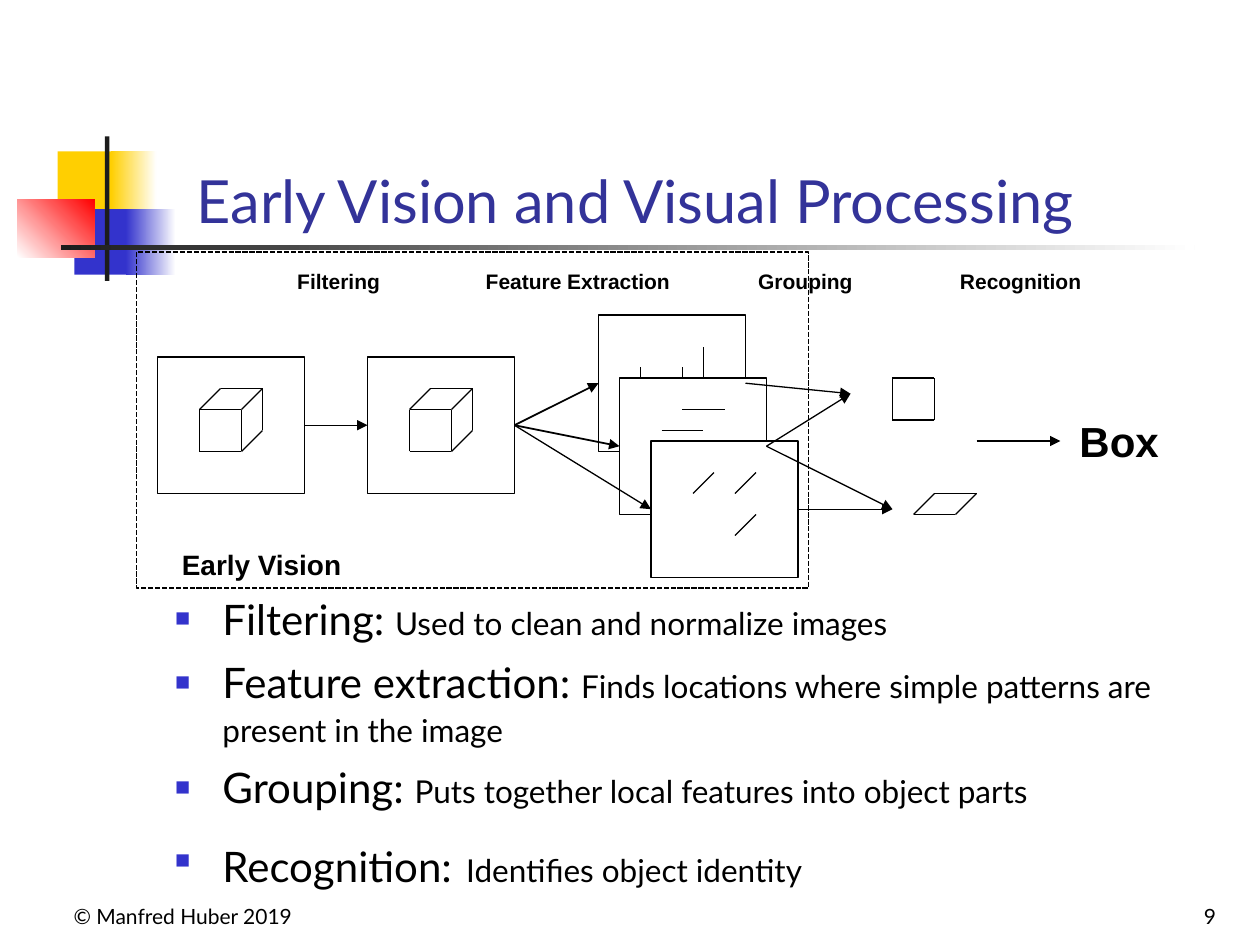
from lxml.etree import SubElement
from pptx import Presentation
from pptx.dml.color import RGBColor
from pptx.enum.dml import MSO_LINE
from pptx.enum.shapes import MSO_CONNECTOR, MSO_SHAPE
from pptx.enum.text import MSO_ANCHOR, PP_ALIGN
from pptx.oxml.ns import qn
from pptx.util import Pt

BLACK = RGBColor(0, 0, 0)
WHITE = RGBColor(255, 255, 255)
GOLD = RGBColor(0xFF, 0xCF, 0x01)
BLUE = RGBColor(0x33, 0x33, 0xCC)
RED = RGBColor(255, 0, 0)
DARK = RGBColor(0x1C, 0x1C, 0x1C)
NAVY = RGBColor(0x33, 0x33, 0x99)

deck = Presentation()
deck.slide_width, deck.slide_height = Pt(720), Pt(540)
slide = deck.slides.add_slide(deck.slide_layouts[6])
shapes = slide.shapes


def add_line(x1, y1, x2, y2, tip=False, width=0.75):
    line = shapes.add_connector(MSO_CONNECTOR.STRAIGHT, Pt(x1), Pt(y1), Pt(x2), Pt(y2))
    line.line.color.rgb = BLACK
    line.line.width = Pt(width)
    props = line.element.spPr
    if tip:
        SubElement(props.find(qn("a:ln")), qn("a:tailEnd"), type="triangle")
    SubElement(props, qn("a:effectLst"))


def add_text(text, x, y, w, h, size, face="Arial", color=BLACK, bold=False,
             align=PP_ALIGN.CENTER, anchor=MSO_ANCHOR.TOP, wrap=False):
    frame = shapes.add_textbox(Pt(x), Pt(y), Pt(w), Pt(h)).text_frame
    frame.word_wrap = wrap
    frame.vertical_anchor = anchor
    para = frame.paragraphs[0]
    para.text = text
    para.alignment = align
    font = para.font
    font.name, font.size, font.bold = face, Pt(size), bold
    font.color.rgb = color


for x, y, w, h, first, last, angle in [
    (33, 86.5, 34.5, 37.5, GOLD, None, 0),
    (63.5, 86.5, 26, 37.5, GOLD, WHITE, 0),
    (42.5, 119.5, 33, 37.5, BLUE, None, 0),
    (72, 119.5, 28.5, 37.5, BLUE, WHITE, 0),
    (10, 113.75, 44, 33.25, WHITE, RED, 45),
    (60, 78, 2.5, 82.5, DARK, None, 0),
    (34.75, 140.25, 648, 2.5, DARK, WHITE, 0),
]:
    block = shapes.add_shape(MSO_SHAPE.RECTANGLE, Pt(x), Pt(y), Pt(w), Pt(h))
    block.shadow.inherit = False
    block.line.fill.background()
    if last is None:
        block.fill.solid()
        block.fill.fore_color.rgb = first
    else:
        block.fill.gradient()
        block.fill.gradient_angle = angle
        for stop, color, place in zip(block.fill.gradient_stops, (first, last), (0, 1)):
            stop.color.rgb = color
            stop.position = place

for text, x, w in [("© Manfred Huber 2019", 24, 150), ("9", 534, 168)]:
    add_text(text, x, 498, w, 36, 12, "Lato", align=PP_ALIGN.RIGHT,
             anchor=MSO_ANCHOR.BOTTOM, wrap=True)
add_text("Early Vision and Visual Processing", 102, 48, 522, 90, 34, "Lato", NAVY,
         anchor=MSO_ANCHOR.BOTTOM, wrap=True)

body = shapes.add_textbox(Pt(93), Pt(332.5), Pt(602.5), Pt(189.5)).text_frame
body.word_wrap = True
for i, runs in enumerate([
    [("Filtering: ", 24), ("Used to clean and normalize images", 18)],
    [("Feature extraction: ", 24),
     ("Finds locations where simple patterns are present in the image", 18)],
    [("Grouping: ", 24), ("Puts together local features into object parts", 18)],
    [("Recognition:", 24), (" ", 32), ("Identifies object identity", 18)],
]):
    para = body.add_paragraph() if i else body.paragraphs[0]
    para.line_spacing = 1.1
    para.space_before = Pt(4.5 if i else 0)
    props = para._p.get_or_add_pPr()
    props.set("marL", str(Pt(27)))
    props.set("indent", str(-Pt(27)))
    SubElement(SubElement(props, qn("a:buClr")), qn("a:srgbClr"), val=str(BLUE))
    SubElement(props, qn("a:buSzPct"), val="60000")
    SubElement(props, qn("a:buFont"), typeface="Arial")
    SubElement(props, qn("a:buChar"), char="■")
    para.font.name = "Lato"
    para.font.color.rgb = BLACK
    for text, size in runs:
        run = para.add_run()
        run.text = text
        run.font.size = Pt(size)

flats = [(24, 30, 48, 30), (36, 18, 60, 18), (24, 54, 48, 54)]
posts = [(24, 54, 24, 30), (48, 54, 48, 30), (60, 42, 60, 18)]
slants = [(48, 54, 60, 42), (48, 30, 60, 18), (24, 30, 36, 18)]
cube = flats + posts + slants
for x, y, fill, marks in [
    (90, 204, False, cube),
    (210, 204, False, cube),
    (342, 180, True, posts),
    (354, 216, True, flats[:2]),
    (372, 252, True, slants),
]:
    panel = shapes.add_shape(MSO_SHAPE.RECTANGLE, Pt(x), Pt(y), Pt(84), Pt(78))
    panel.shadow.inherit = False
    panel.line.color.rgb = BLACK
    panel.line.width = Pt(0.75)
    if fill:
        panel.fill.solid()
        panel.fill.fore_color.rgb = WHITE
    else:
        panel.fill.background()
    for x1, y1, x2, y2 in marks:
        add_line(x + x1, y + y1, x + x2, y + y2)

for corners in [
    [(510, 216), (534, 216), (534, 240), (510, 240)],
    [(534, 282), (558, 282), (546, 294), (522, 294)],
]:
    for start, end in zip(corners, corners[1:] + corners[:1]):
        add_line(*start, *end)

for x1, y1, x2, y2, width in [
    (174, 243, 210, 243, 0.75),
    (294, 243, 342, 219, 1),
    (294, 243, 354, 255, 1),
    (294, 243, 372, 291, 0.75),
    (438, 255, 510, 291, 0.75),
    (438, 255, 486, 225, 0.75),
    (426, 219, 486, 225, 0.75),
    (456, 291, 510, 291, 0.75),
    (558, 252, 606, 252, 0.75),
]:
    add_line(x1, y1, x2, y2, True, width)

for text, x, y, w, h, size in [
    ("Filtering", 162.5, 150, 62, 21.75, 12),
    ("Feature Extraction", 270.5, 150, 119.5, 21.75, 12),
    ("Grouping", 426, 150, 68.5, 21.75, 12),
    ("Recognition", 541.5, 150, 83.5, 21.75, 12),
    ("Box", 607, 234, 65, 36, 24),
    ("Early Vision", 96.5, 309.5, 106, 26.5, 16),
]:
    add_text(text, x, y, w, h, size, bold=True)

zone = shapes.add_shape(MSO_SHAPE.RECTANGLE, Pt(78), Pt(144), Pt(384), Pt(192))
zone.shadow.inherit = False
zone.fill.background()
zone.line.color.rgb = BLACK
zone.line.width = Pt(1)
zone.line.dash_style = MSO_LINE.SQUARE_DOT

deck.save("out.pptx")
